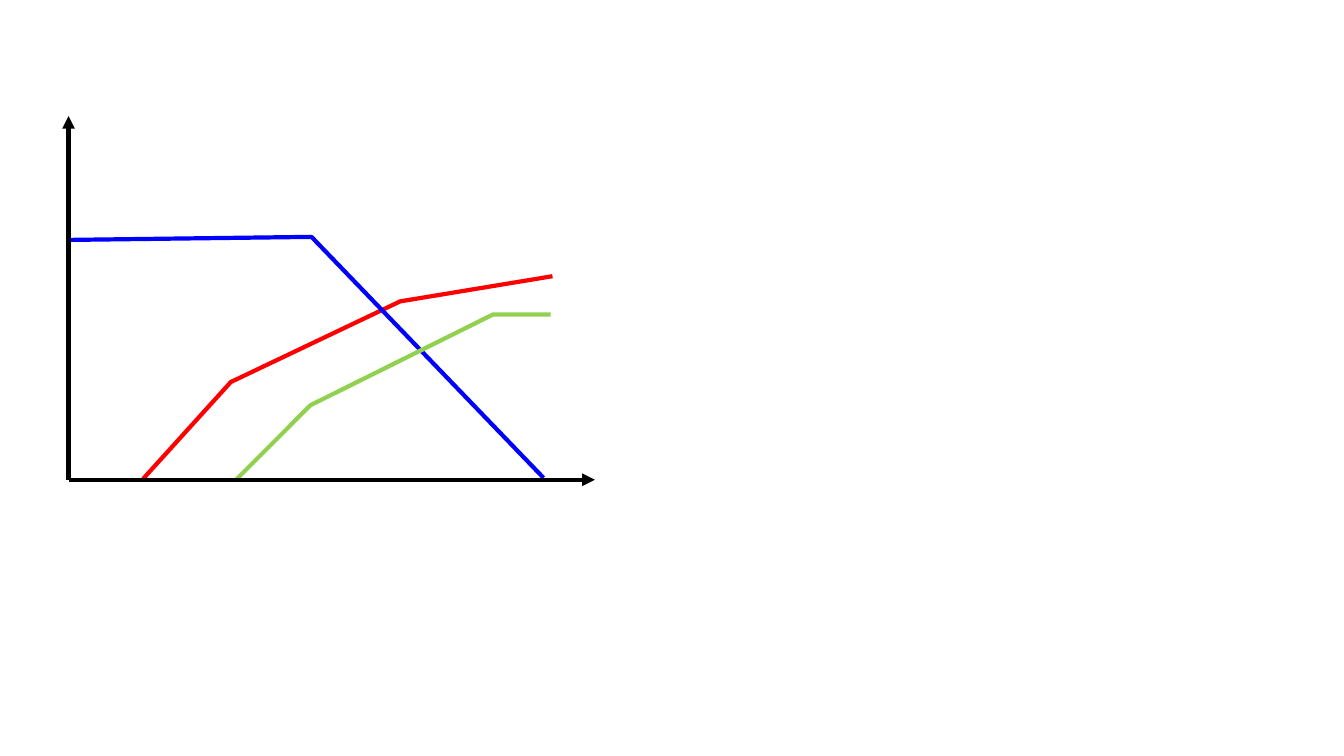
"""Build a slide with three piecewise-linear curves on a pair of arrow axes."""
from dataclasses import dataclass

from lxml import etree
from pptx import Presentation
from pptx.dml.color import RGBColor
from pptx.dml.line import LineFormat
from pptx.enum import shapes
from pptx.oxml import ns
from pptx.slide import Slide
from pptx.util import Inches, Pt

Point = tuple[float, float]


@dataclass(frozen=True)
class Theme:
    axis: RGBColor = RGBColor(0x00, 0x00, 0x00)
    red: RGBColor = RGBColor(0xFF, 0x00, 0x00)
    blue: RGBColor = RGBColor(0x00, 0x00, 0xFF)
    green: RGBColor = RGBColor(0x92, 0xD0, 0x50)
    stroke: Pt = Pt(3)


@dataclass(frozen=True)
class Curve:
    color: RGBColor
    points: tuple[Point, ...]


THEME = Theme()
ORIGIN: Point = (0.68, 4.76)
AXIS_ENDS: tuple[Point, ...] = ((ORIGIN[0], 1.15), (5.9, ORIGIN[1]))
CURVES = (
    Curve(THEME.red, ((1.42, 4.75), (2.29, 3.79), (3.97, 2.99), (5.48, 2.74))),
    Curve(THEME.blue, ((0.7, 2.38), (3.09, 2.35), (5.39, 4.74))),
    Curve(THEME.green, ((2.34, 4.76), (3.08, 4.02), (4.89, 3.12), (5.46, 3.12))),
)


def to_lengths(point: Point) -> tuple[Inches, Inches]:
    return Inches(point[0]), Inches(point[1])


def style_line(line: LineFormat, color: RGBColor) -> None:
    line.color.rgb = color
    line.width = THEME.stroke


def draw_curve(page: Slide, curve: Curve) -> None:
    start, *rest = map(to_lengths, curve.points)
    builder = page.shapes.build_freeform(*start)
    builder.add_line_segments(rest, close=False)
    outline = builder.convert_to_shape()
    outline.shadow.inherit = False
    outline.fill.background()
    style_line(outline.line, curve.color)


def draw_axis(page: Slide, end: Point) -> None:
    axis = page.shapes.add_connector(
        shapes.MSO_CONNECTOR.STRAIGHT, *to_lengths(ORIGIN), *to_lengths(end)
    )
    style_line(axis.line, THEME.axis)
    properties = axis._element.spPr
    outline = properties.find(ns.qn("a:ln"))
    etree.SubElement(outline, ns.qn("a:tailEnd"), type="triangle")
    etree.SubElement(properties, ns.qn("a:effectLst"))


def main() -> None:
    deck = Presentation()
    deck.slide_width, deck.slide_height = Inches(13.33), Inches(7.5)
    page = deck.slides.add_slide(deck.slide_layouts.get_by_name("Blank"))
    for curve in CURVES:
        draw_curve(page, curve)
    for end in AXIS_ENDS:
        draw_axis(page, end)
    deck.save("out.pptx")


main()
